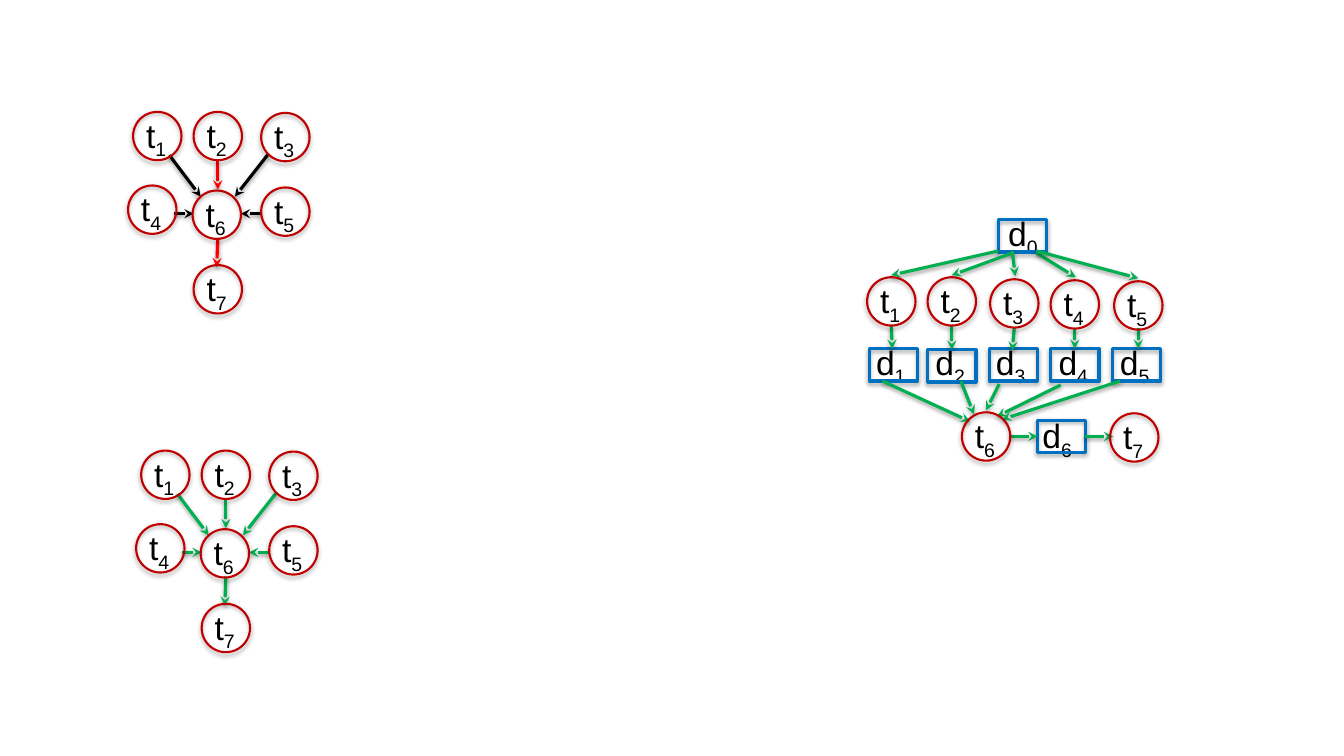
"""Build a slide with two task graphs and one graph of tasks and data."""
from typing import NamedTuple

from lxml import etree
from pptx import Presentation
from pptx import util as u
from pptx.dml.color import RGBColor
from pptx.enum import shapes, text
from pptx.oxml import ns

RED, DARK_RED, BLUE, GREEN, BLACK = "FF0000", "C00000", "0070C0", "00B050", "000000"
NODE_SIZE, DATA_HEIGHT, LABEL_HEIGHT = 0.48, 0.32, 0.5


class Task(NamedTuple):
    number: int
    left: float
    top: float


class Data(NamedTuple):
    number: int
    left: float
    top: float
    label_left: float
    label_top: float


class Arrow(NamedTuple):
    x1: float
    y1: float
    x2: float
    y2: float
    color: str = GREEN


TREE_TASKS = [
    Task(3, 2.59, 1.12), Task(2, 1.92, 1.11), Task(1, 1.32, 1.11), Task(5, 2.59, 1.86),
    Task(4, 1.27, 1.84), Task(7, 1.92, 2.63), Task(6, 1.91, 1.89),
]
TREE_ARROWS = [
    Arrow(2.16, 1.6, 2.16, 1.88, RED), Arrow(2.16, 2.36, 2.15, 2.65, RED),
    Arrow(1.68, 1.54, 1.99, 1.95, BLACK), Arrow(2.66, 1.53, 2.33, 1.95, BLACK),
    Arrow(1.73, 2.12, 1.92, 2.12, BLACK), Arrow(2.59, 2.12, 2.39, 2.12, BLACK),
]
GREEN_TREE_SHIFT = (0.08, 3.36)

FLOW_TASKS = [
    Task(3, 9.82, 2.77), Task(2, 9.2, 2.75), Task(1, 8.6, 2.75), Task(7, 11.01, 4.1),
    Task(6, 9.54, 4.09), Task(4, 10.42, 2.78), Task(5, 11.05, 2.79),
]
FLOW_DATA = [
    Data(6, 10.29, 4.17, 10.24, 4.07), Data(1, 8.62, 3.46, 8.59, 3.34),
    Data(2, 9.2, 3.47, 9.18, 3.34), Data(3, 9.81, 3.46, 9.78, 3.34),
    Data(4, 10.42, 3.46, 10.4, 3.34), Data(5, 11.03, 3.46, 11.01, 3.34),
    Data(0, 9.9, 2.18, 9.9, 2.06),
]
FLOW_ARROWS = [
    Arrow(9.9, 2.49, 8.84, 2.73), Arrow(10.04, 2.51, 9.44, 2.73),
    Arrow(10.04, 2.49, 10.07, 2.74), Arrow(10.28, 2.51, 10.67, 2.75),
    Arrow(10.28, 2.49, 11.29, 2.76),
    Arrow(8.84, 3.23, 8.85, 3.46), Arrow(9.44, 3.22, 9.44, 3.47),
    Arrow(10.06, 3.25, 10.04, 3.48), Arrow(10.66, 3.26, 10.66, 3.46),
    Arrow(11.29, 3.25, 11.29, 3.46),
    Arrow(8.75, 3.78, 9.62, 4.18), Arrow(9.53, 3.78, 9.66, 4.11),
    Arrow(9.91, 3.81, 9.78, 4.07), Arrow(10.52, 3.82, 9.89, 4.13),
    Arrow(11.11, 3.78, 9.94, 4.16),
    Arrow(10.01, 4.33, 10.29, 4.33), Arrow(10.76, 4.33, 11.04, 4.33),
]


def rgb(color: str) -> RGBColor:
    return RGBColor.from_string(color)


def child(parent, tag: str, **attributes: str):
    return etree.SubElement(parent, ns.qn(tag), attributes)


def add_shadow(properties, distance: float, opacity: int) -> None:
    effects = child(properties, "a:effectLst")
    shadow = child(effects, "a:outerShdw", blurRad=str(u.Pt(3.1)), dist=str(u.Pt(distance)),
                   dir="5400000", rotWithShape="0")
    tint = child(shadow, "a:srgbClr", val=BLACK)
    child(tint, "a:alpha", val=str(opacity * 1000))


def draw_label(page, letter: str, number: int, left: float, top: float, width: float) -> None:
    box = page.shapes.add_textbox(u.Inches(left), u.Inches(top), u.Inches(width),
                                  u.Inches(LABEL_HEIGHT))
    frame = box.text_frame
    frame.word_wrap = False
    frame.auto_size = text.MSO_AUTO_SIZE.SHAPE_TO_FIT_TEXT
    para = frame.paragraphs[0]
    for part in (letter, str(number)):
        span = para.add_run()
        span.text = part
        span.font.size = u.Pt(24)
        span.font.name = "Arial"
        span.font.color.rgb = rgb(BLACK)
    span.font._element.set("baseline", "-25000")


def draw_outline(page, kind, left: float, top: float, height: float,
                 color: str, weight: float) -> None:
    outline = page.shapes.add_shape(kind, u.Inches(left), u.Inches(top),
                                    u.Inches(NODE_SIZE), u.Inches(height))
    outline.fill.background()
    outline.line.color.rgb = rgb(color)
    outline.line.width = u.Pt(weight)
    add_shadow(outline._element.spPr, 1.8, 35)


def draw_task(page, task: Task) -> None:
    draw_outline(page, shapes.MSO_SHAPE.OVAL, task.left, task.top, NODE_SIZE, DARK_RED, 1.5)
    draw_label(page, "t", task.number, task.left + 0.03, task.top - 0.02, 0.42)


def draw_data(page, data: Data) -> None:
    draw_label(page, "d", data.number, data.label_left, data.label_top, 0.51)
    draw_outline(page, shapes.MSO_SHAPE.RECTANGLE, data.left, data.top, DATA_HEIGHT, BLUE, 2.25)


def draw_arrow(page, arrow: Arrow) -> None:
    ends = [u.Inches(value) for value in arrow[:4]]
    line = page.shapes.add_connector(shapes.MSO_CONNECTOR.STRAIGHT, *ends)
    line.line.color.rgb = rgb(arrow.color)
    line.line.width = u.Pt(2.25)
    child(line.line._get_or_add_ln(), "a:tailEnd", type="stealth")
    add_shadow(line._element.spPr, 1.6, 38)


def draw_graph(page, tasks: list[Task], arrows: list[Arrow]) -> None:
    for arrow in arrows:
        draw_arrow(page, arrow)
    for task in tasks:
        draw_task(page, task)


def main() -> None:
    deck = Presentation()
    deck.slide_width, deck.slide_height = u.Inches(13.33), u.Inches(7.5)
    page = deck.slides.add_slide(deck.slide_layouts[6])

    draw_graph(page, TREE_TASKS, TREE_ARROWS)
    dx, dy = GREEN_TREE_SHIFT
    draw_graph(
        page,
        [Task(task.number, task.left + dx, task.top + dy) for task in TREE_TASKS],
        [Arrow(a.x1 + dx, a.y1 + dy, a.x2 + dx, a.y2 + dy) for a in TREE_ARROWS],
    )
    for data in FLOW_DATA:
        draw_data(page, data)
    draw_graph(page, FLOW_TASKS, FLOW_ARROWS)
    deck.save("out.pptx")


if __name__ == "__main__":
    main()
